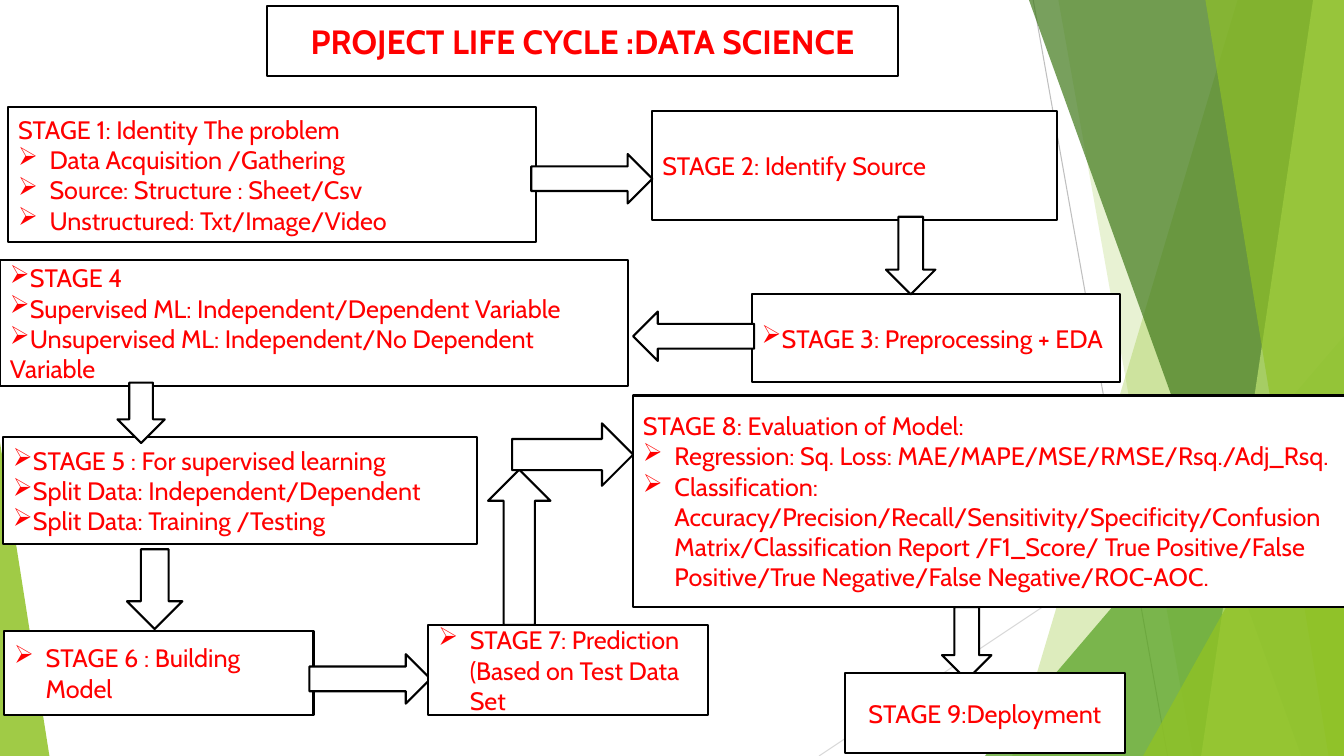
from dataclasses import dataclass

from lxml.etree import SubElement
from pptx import Presentation
from pptx.dml.color import RGBColor
from pptx.enum.shapes import MSO_CONNECTOR, MSO_SHAPE
from pptx.enum.text import MSO_ANCHOR, MSO_AUTO_SIZE, PP_ALIGN
from pptx.oxml.ns import qn
from pptx.util import Pt


@dataclass(frozen=True)
class Theme:
    font: str = "Cabin"
    title_size: float = 24
    text_size: float = 18
    text: str = "FF0000"
    fill: str = "FFFFFF"
    outline: str = "000000"
    outline_width: float = 1.5
    hairline_width: float = 0.75
    grey: str = "BFBFBF"
    pale_grey: str = "D9D9D9"
    green: str = "90C226"
    mid_green: str = "54A021"
    dark_green: str = "3F7819"
    lime: str = "C0E474"


THEME = Theme()
WIDTH, HEIGHT = 960, 540
HANG = 22.5
PLAIN, HANGING, FLUSH = "plain", "hanging", "flush"

TITLE = ("PROJECT LIFE CYCLE :DATA SCIENCE", (190.8, 4.5, 450.5, 49.5))

# Stage number: (left, top, width, height), alignment, [(bullet style, text)]
STAGES = {
    1: ((5.8, 76.5, 377, 96.5), PP_ALIGN.LEFT, [
        (PLAIN, "STAGE 1: Identity The problem"),
        (HANGING, "Data Acquisition /Gathering"),
        (HANGING, "Source: Structure : Sheet/Csv"),
        (HANGING, "Unstructured: Txt/Image/Video")]),
    2: ((466, 79.2, 289, 78), PP_ALIGN.LEFT, [(PLAIN, "STAGE 2: Identify Source")]),
    3: ((537, 210.2, 263, 62.5), PP_ALIGN.LEFT, [(FLUSH, "STAGE 3: Preprocessing + EDA")]),
    4: ((0, 185.8, 448.5, 90), PP_ALIGN.LEFT, [
        (FLUSH, "STAGE 4"),
        (FLUSH, "Supervised ML: Independent/Dependent Variable"),
        (FLUSH, "Unsupervised ML: Independent/No Dependent Variable")]),
    5: ((2.2, 312, 338.5, 76.5), PP_ALIGN.LEFT, [
        (FLUSH, "STAGE 5 : For supervised learning"),
        (FLUSH, "Split Data: Independent/Dependent"),
        (FLUSH, "Split Data: Training /Testing")]),
    6: ((3, 450.7, 221, 60), PP_ALIGN.LEFT, [(HANGING, "STAGE 6 : Building Model")]),
    7: ((306, 446.4, 200, 64.5), PP_ALIGN.LEFT, [
        (HANGING, "STAGE 7: Prediction (Based on Test Data Set")]),
    8: ((452.2, 282.5, 512, 151), PP_ALIGN.LEFT, [
        (PLAIN, "STAGE 8: Evaluation of Model:"),
        (HANGING, "Regression: Sq. Loss: MAE/MAPE/MSE/RMSE/Rsq./Adj_Rsq."),
        (HANGING, "Classification: Accuracy/Precision/Recall/Sensitivity/Specificity/"
                  "Confusion Matrix/Classification Report /F1_Score/ True Positive/"
                  "False Positive/True Negative/False Negative/ROC-AOC.")]),
    9: ((603.5, 481, 200, 57), PP_ALIGN.CENTER, [(PLAIN, "STAGE 9:Deployment")]),
}
ABOVE_ARROWS = (7, 9)

# (left, top, length, thickness) before turning, clockwise turn
ARROWS = [
    ((379.5, 110, 86.5, 35.3), 0),
    ((622.8, 164.9, 55.4, 35.3), 90),
    ((452.2, 222.5, 86.5, 35.3), 180),
    ((79.2, 278, 43.2, 33.8), 90),
    ((82, 401, 57, 39.6), 90),
    ((221, 467.3, 86.5, 35.3), 0),
    ((315.4, 368.6, 111, 44.6), 270),
    ((365.8, 302.4, 86.5, 44.6), 0),
    ((664.5, 442, 52, 35.3), 90),
]

HAIRLINES = [
    ((738, 0), (834, HEIGHT), THEME.grey),
    ((WIDTH, 290), (585, HEIGHT), THEME.pale_grey),
]

# Bands reach the right edge: (top x, bottom x, colour, opacity)
# Triangles stand on the bottom edge: (left, top, width, apex, colour, opacity)
FACETS = [
    (884, 723, THEME.green, 30),
    (756, 852, THEME.green, 20),
    (703.5, 240, 256.5, 1, THEME.mid_green, 72),
    (735, 929.5, THEME.dark_green, 70),
    (938, 858, THEME.lime, 70),
    (861, 949, THEME.green, 65),
    (816.5, 283, 143.5, 1, THEME.green, 80),
    (0, 316, 35.3, 0, THEME.green, 85),
]


def paint(shape, colour, opacity=100):
    shape.shadow.inherit = False
    shape.fill.solid()
    shape.fill.fore_color.rgb = RGBColor.from_string(colour)
    if opacity < 100:
        solid = shape.fill._xPr.find(qn("a:solidFill"))
        SubElement(solid[0], qn("a:alpha"), val=str(opacity * 1000))


def outline(shape):
    shape.line.color.rgb = RGBColor.from_string(THEME.outline)
    shape.line.width = Pt(THEME.outline_width)


def add_preset(slide, kind, frame):
    return slide.shapes.add_shape(kind, *map(Pt, frame))


def add_hairline(slide, start, end, colour):
    line = slide.shapes.add_connector(MSO_CONNECTOR.STRAIGHT, *map(Pt, start + end))
    line.line.color.rgb = RGBColor.from_string(colour)
    line.line.width = Pt(THEME.hairline_width)
    SubElement(line._element.spPr, qn("a:effectLst"))


def add_facet(slide, *facet):
    *geometry, colour, opacity = facet
    if len(geometry) == 2:
        top_x, bottom_x = geometry
        builder = slide.shapes.build_freeform(Pt(top_x), 0)
        corners = [(WIDTH, 0), (WIDTH, HEIGHT), (bottom_x, HEIGHT)]
        builder.add_line_segments([(Pt(x), Pt(y)) for x, y in corners])
        shape = builder.convert_to_shape()
    else:
        left, top, width, apex = geometry
        frame = (left, top, width, HEIGHT - top)
        shape = add_preset(slide, MSO_SHAPE.ISOSCELES_TRIANGLE, frame)
        shape.adjustments[0] = apex
    paint(shape, colour, opacity)
    shape.line.fill.background()


def format_para(para, align, size, bold=False):
    para.alignment = align
    para.font.name = THEME.font
    para.font.size = Pt(size)
    para.font.bold = bold
    para.font.color.rgb = RGBColor.from_string(THEME.text)


def add_bullet(para, style):
    """Hang the text beside the bullet, or let wrapped lines return to the edge."""
    properties = para._p.get_or_add_pPr()
    properties.set("marL", str(Pt(HANG if style == HANGING else 0)))
    properties.set("indent", str(-Pt(HANG)))
    SubElement(properties, qn("a:buChar"), char="➢")


def add_stage(slide, frame, align, lines):
    box = add_preset(slide, MSO_SHAPE.RECTANGLE, frame)
    paint(box, THEME.fill)
    outline(box)
    text = box.text_frame
    text.word_wrap = True
    text.vertical_anchor = MSO_ANCHOR.MIDDLE
    for index, (style, words) in enumerate(lines):
        para = text.add_paragraph() if index else text.paragraphs[0]
        para.text = words
        if style != PLAIN:
            add_bullet(para, style)
        format_para(para, align, THEME.text_size)


def add_arrow(slide, frame, turn):
    arrow = add_preset(slide, MSO_SHAPE.RIGHT_ARROW, frame)
    arrow.rotation = turn
    paint(arrow, THEME.fill)
    outline(arrow)


def set_title(slide, words, frame):
    title = slide.shapes.title
    title.left, title.top, title.width, title.height = map(Pt, frame)
    outline(title)
    text = title.text_frame
    text.text = words
    text.word_wrap = True
    text.auto_size = MSO_AUTO_SIZE.NONE
    text.vertical_anchor = MSO_ANCHOR.MIDDLE
    format_para(text.paragraphs[0], PP_ALIGN.CENTER, THEME.title_size, bold=True)


def main():
    deck = Presentation()
    deck.slide_width, deck.slide_height = Pt(WIDTH), Pt(HEIGHT)
    slide = deck.slides.add_slide(deck.slide_layouts.get_by_name("Title Only"))
    set_title(slide, *TITLE)
    for hairline in HAIRLINES:
        add_hairline(slide, *hairline)
    for facet in FACETS:
        add_facet(slide, *facet)
    for number, stage in STAGES.items():
        if number not in ABOVE_ARROWS:
            add_stage(slide, *stage)
    for arrow in ARROWS:
        add_arrow(slide, *arrow)
    for number in ABOVE_ARROWS:
        add_stage(slide, *STAGES[number])
    deck.save("out.pptx")


if __name__ == "__main__":
    main()
